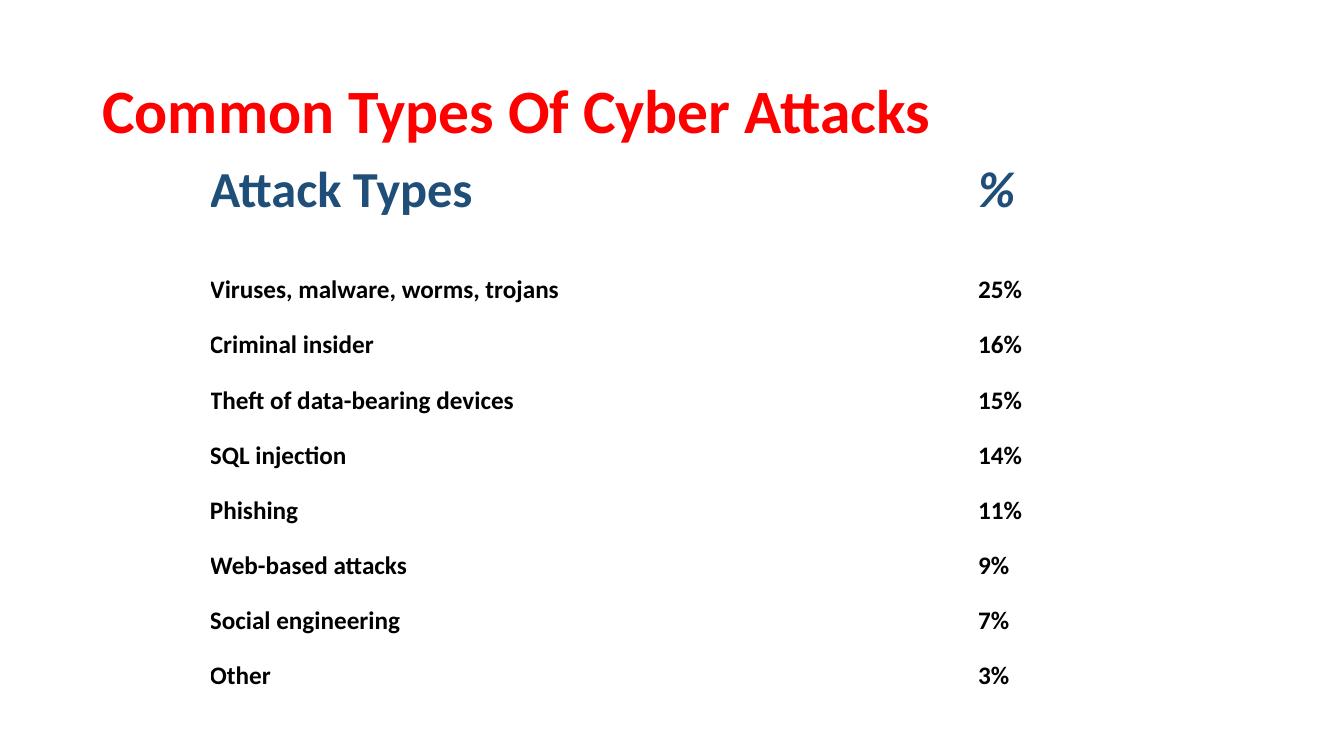
from pptx import Presentation
from pptx.dml.color import RGBColor
from pptx.enum.text import MSO_ANCHOR
from pptx.util import Cm, Pt

RED = RGBColor(0xFF, 0x00, 0x00)
NAVY = RGBColor(0x1F, 0x4E, 0x79)
BLACK = RGBColor(0x00, 0x00, 0x00)

HEADINGS = ("Attack Types", "%")
ATTACKS = [
    ("Viruses, malware, worms, trojans", 25),
    ("Criminal insider", 16),
    ("Theft of data-bearing devices", 15),
    ("SQL injection", 14),
    ("Phishing", 11),
    ("Web-based attacks", 9),
    ("Social engineering", 7),
    ("Other", 3),
]
COLUMN_WIDTHS = (Cm(19.36), Cm(4.14))
ROW_HEIGHT = Cm(1.39)


def write(frame, text, size, color, italic=False):
    """Fill a text frame with one bold paragraph."""
    frame.text = text
    font = frame.paragraphs[0].runs[0].font
    font.name = "Calibri"
    font.size = Pt(size)
    font.bold = True
    font.italic = italic
    font.color.rgb = color


def add_title(slide, text):
    frame = slide.shapes.add_textbox(Cm(2.33), Cm(1.01), Cm(29.21), Cm(3.68)).text_frame
    frame.word_wrap = True
    frame.vertical_anchor = MSO_ANCHOR.MIDDLE
    write(frame, text, 44, RED)
    frame.paragraphs[0].line_spacing = 0.9


def add_plain_table(slide, row_count):
    """Add a table without fills, banding or cell margins."""
    table = slide.shapes.add_table(
        row_count, len(COLUMN_WIDTHS), Cm(5.29), Cm(4.01),
        sum(COLUMN_WIDTHS), ROW_HEIGHT * row_count,
    ).table
    table.first_row = table.horz_banding = False
    for column, width in zip(table.columns, COLUMN_WIDTHS):
        column.width = width
    for cell in table.iter_cells():
        cell.fill.background()
        cell.margin_left = cell.margin_right = 0
        cell.margin_top = cell.margin_bottom = 0
    return table


def add_attack_table(slide):
    first_attack_row = 2  # an empty row separates headings and attacks
    table = add_plain_table(slide, first_attack_row + len(ATTACKS))
    for column, heading in enumerate(HEADINGS):
        write(table.cell(0, column).text_frame, heading, 36, NAVY, italic=heading == "%")
    for row, (attack, share) in enumerate(ATTACKS, first_attack_row):
        write(table.cell(row, 0).text_frame, attack, 18, BLACK)
        write(table.cell(row, 1).text_frame, f"{share}%", 18, BLACK)


def main():
    presentation = Presentation()
    presentation.slide_width = Cm(33.87)
    presentation.slide_height = Cm(19.05)
    slide = presentation.slides.add_slide(presentation.slide_layouts[6])
    add_title(slide, "Common Types Of Cyber Attacks")
    add_attack_table(slide)
    presentation.save("out.pptx")


if __name__ == "__main__":
    main()
